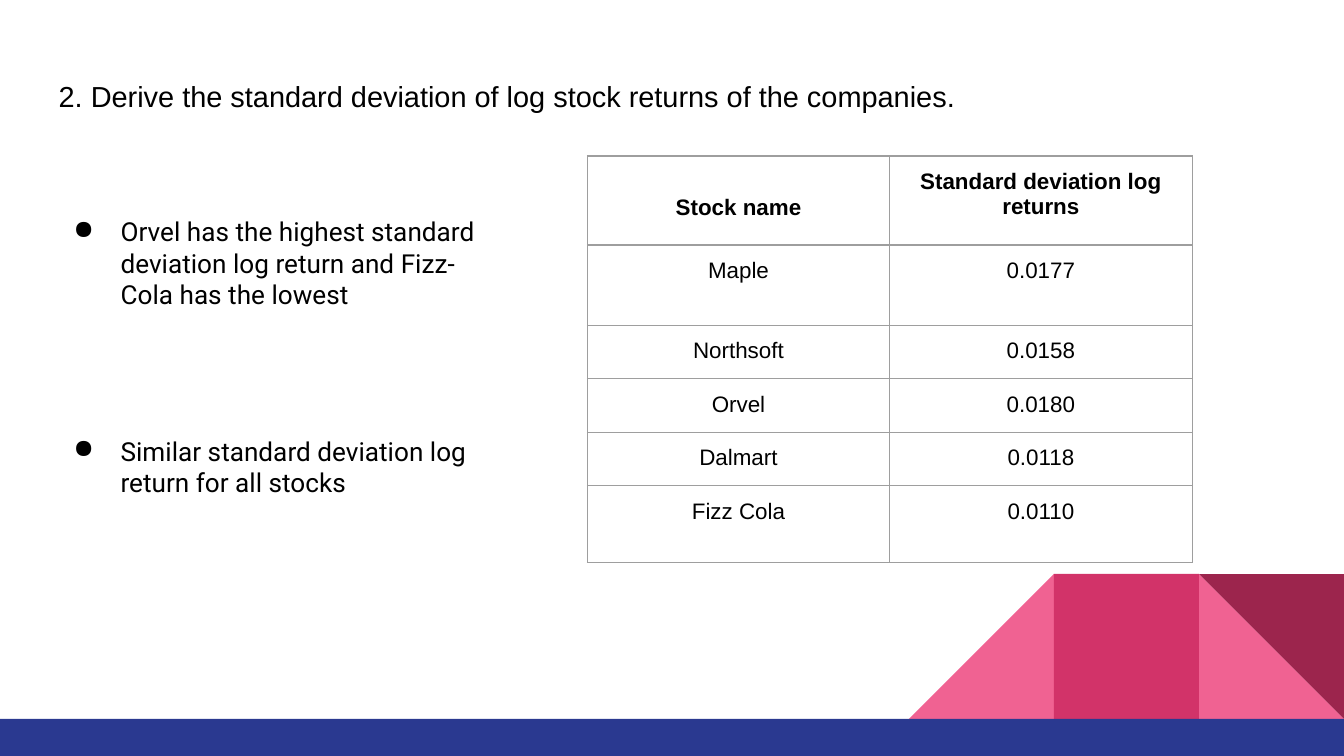
from lxml.etree import SubElement
from pptx import Presentation
from pptx.dml.color import RGBColor
from pptx.enum.shapes import MSO_SHAPE
from pptx.enum.text import PP_ALIGN
from pptx.oxml.ns import qn
from pptx.util import Cm, Pt

BLACK = RGBColor(0x00, 0x00, 0x00)
GREY = RGBColor(0x9E, 0x9E, 0x9E)
PINK = RGBColor(0xF0, 0x62, 0x92)
ROSE = RGBColor(0xD2, 0x33, 0x69)
WINE = RGBColor(0x9C, 0x25, 0x4D)
NAVY = RGBColor(0x2A, 0x39, 0x90)

SLIDE_WIDTH, SLIDE_HEIGHT = 25.4, 14.29
BAND_TOP = 13.59
TILE = 2.74
INSET = 0.25

RETURNS = [
    ("Stock name", "Standard deviation log returns"),
    ("Maple", "0.0177"),
    ("Northsoft", "0.0158"),
    ("Orvel", "0.0180"),
    ("Dalmart", "0.0118"),
    ("Fizz Cola", "0.0110"),
]
ROW_HEIGHTS = [1.68, 1.52, 0.98, 0.98, 0.98, 1.46]
FINDINGS = [
    "Orvel has the highest standard deviation log return and Fizz-Cola has the lowest",
    "Similar standard deviation log return for all stocks",
]


class SlideBuilder:
    heading_font = "Arial"
    body_font = "Roboto"

    def __init__(self, slide):
        self.slide = slide

    def style(self, paragraph, font, size, bold=False):
        for run in paragraph.runs:
            run.font.name = font
            run.font.size = Pt(size)
            run.font.bold = bold
            run.font.color.rgb = BLACK

    def block(self, preset, left, top, width, height, color, rotation=0, mirrored=False):
        shape = self.slide.shapes.add_shape(preset, Cm(left), Cm(top), Cm(width), Cm(height))
        shape.shadow.inherit = False
        shape.fill.solid()
        shape.fill.fore_color.rgb = color
        shape.line.fill.background()
        shape.rotation = rotation
        if mirrored:
            shape._element.spPr.find(qn("a:xfrm")).set("flipH", "1")

    def text_frame(self, left, top, width, height, margin_top=INSET):
        box = self.slide.shapes.add_textbox(Cm(left), Cm(top), Cm(width), Cm(height))
        frame = box.text_frame
        frame.word_wrap = True
        frame.margin_left = frame.margin_right = frame.margin_bottom = Cm(INSET)
        frame.margin_top = Cm(margin_top)
        return frame

    def title(self, wording, left, top, width, height):
        frame = self.text_frame(left, top, width, height)
        frame.text = wording
        heading = frame.paragraphs[0]
        heading.alignment = PP_ALIGN.JUSTIFY
        heading.line_spacing = 1.15
        self.style(heading, self.heading_font, 15.5)

    def bullets(self, items, left, top, width, height, margin_top, gap):
        frame = self.text_frame(left, top, width, height, margin_top)
        frame.text = "\n".join(items)
        for index, item in enumerate(frame.paragraphs):
            if index:
                item.space_before = Pt(gap)
            self.style(item, self.body_font, 14)
            properties = item._p.get_or_add_pPr()
            properties.set("marL", str(Cm(1.27)))
            properties.set("indent", str(Cm(-0.89)))
            bullet_color = SubElement(properties, qn("a:buClr"))
            SubElement(bullet_color, qn("a:srgbClr"), val=str(BLACK))
            SubElement(properties, qn("a:buChar"), char="●")

    def cell_borders(self, cell):
        """Outline the cell; borders must come before its fill in the XML."""
        properties = cell._tc.get_or_add_tcPr()
        for position, side in enumerate(("lnL", "lnR", "lnT", "lnB")):
            border = SubElement(properties, qn(f"a:{side}"), w=str(Pt(0.75)))
            fill = SubElement(border, qn("a:solidFill"))
            SubElement(fill, qn("a:srgbClr"), val=str(GREY))
            properties.insert(position, border)

    def table(self, rows, row_heights, left, top, width):
        frame = self.slide.shapes.add_table(
            len(rows), len(rows[0]), Cm(left), Cm(top), Cm(width), Cm(sum(row_heights)))
        table = frame.table
        table.first_row = table.horz_banding = False
        for row, height, values in zip(table.rows, row_heights, rows):
            row.height = Cm(height)
            for cell, value in zip(row.cells, values):
                cell.text = value
                cell.fill.background()
                cell.margin_left = cell.margin_right = Cm(INSET)
                cell.margin_top = cell.margin_bottom = Cm(INSET)
                paragraph = cell.text_frame.paragraphs[0]
                paragraph.alignment = PP_ALIGN.CENTER
                self.style(paragraph, self.heading_font, 12, bold=values is rows[0])
                self.cell_borders(cell)
        # The first heading sits one line lower than its neighbour.
        table.cell(0, 0).margin_top = Cm(0.73)


def main():
    presentation = Presentation()
    presentation.slide_width = Cm(SLIDE_WIDTH)
    presentation.slide_height = Cm(SLIDE_HEIGHT)
    builder = SlideBuilder(presentation.slides.add_slide(presentation.slide_layouts[6]))

    tile_top = BAND_TOP - TILE
    triangle, rectangle = MSO_SHAPE.RIGHT_TRIANGLE, MSO_SHAPE.RECTANGLE
    for preset, tiles_from_right, color, rotation, mirrored in [
        (triangle, 1, PINK, 0, False),
        (triangle, 3, PINK, 0, True),
        (rectangle, 2, ROSE, 0, False),
        (triangle, 1, WINE, 180, False),
    ]:
        left = SLIDE_WIDTH - tiles_from_right * TILE
        builder.block(preset, left, tile_top, TILE, TILE, color, rotation, mirrored)
    builder.block(rectangle, 0, BAND_TOP, SLIDE_WIDTH, SLIDE_HEIGHT - BAND_TOP, NAVY)

    builder.title("2. Derive the standard deviation of log stock returns of the companies.",
                  0.86, 1.14, 23.67, 1.68)
    builder.table(RETURNS, ROW_HEIGHTS, 11.1, 2.95, 11.43)
    builder.bullets(FINDINGS, 0.76, 2.64, 8.86, 10.08, margin_top=1.44, gap=67)

    presentation.save("out.pptx")


if __name__ == "__main__":
    main()
